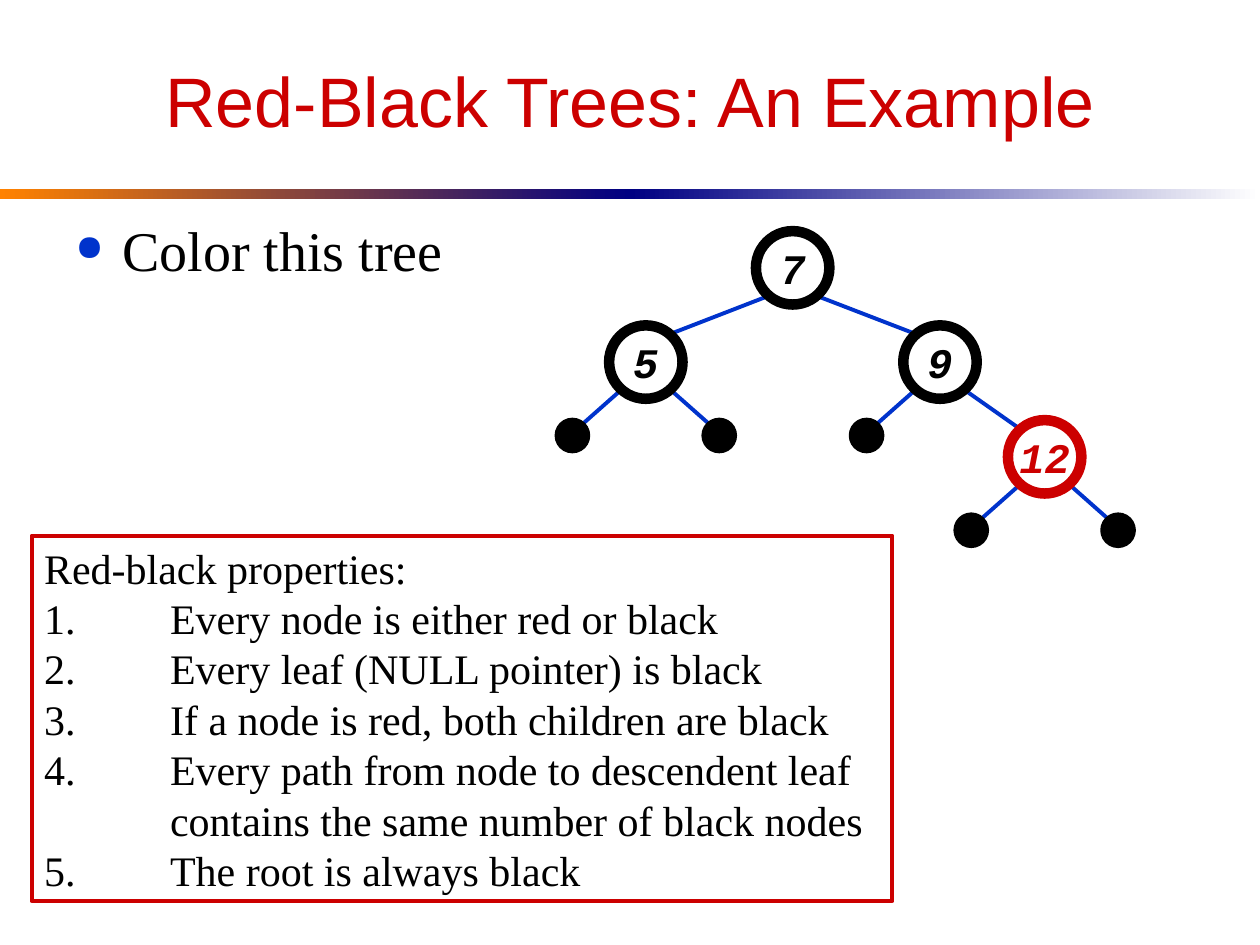
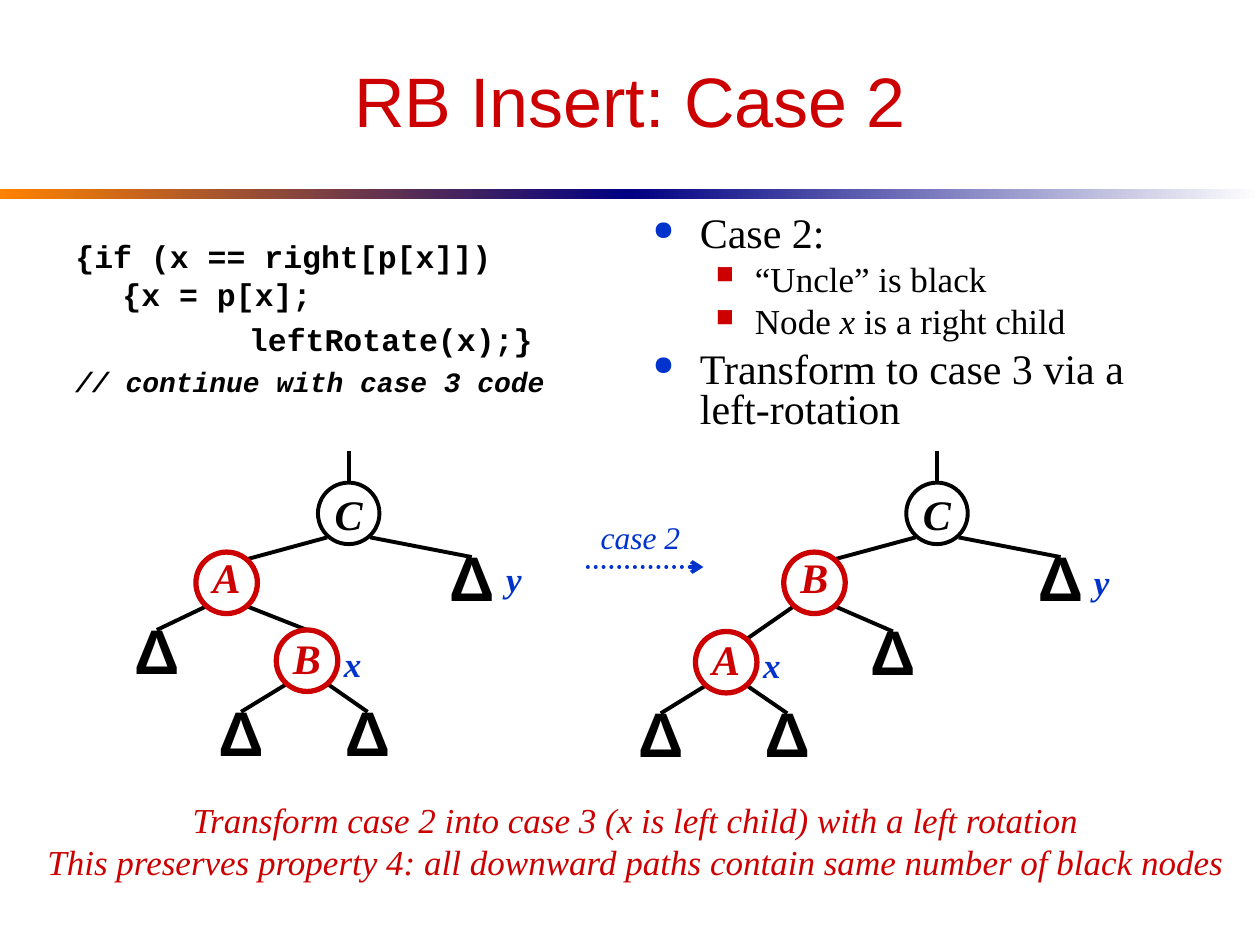
"""Build two slides on red-black trees: a colored example and insert case 2."""
import lxml.etree
import pptx
import pptx.dml.color
import pptx.enum.dml
import pptx.enum.shapes
import pptx.enum.text
import pptx.oxml.ns
import pptx.util

Cm, Pt = pptx.util.Cm, pptx.util.Pt
qn = pptx.oxml.ns.qn
RGB = pptx.dml.color.RGBColor.from_string
FORM = pptx.enum.shapes.MSO_SHAPE
MID = pptx.enum.text.MSO_ANCHOR.MIDDLE
TOP = pptx.enum.text.MSO_ANCHOR.TOP
ALIGN = pptx.enum.text.PP_ALIGN
INK = {"red": "CC0000", "blue": "0033CC", "black": "000000",
       "white": "FFFFFF", "orange": "FF8200", "navy": "000082"}
SERIF, SANS, MONO = "Times New Roman", "Arial", "Courier New"
REACH, DROP = 0.7, 0.78


def put(page, form, box, lines=(), font=None, ink="black", fill=None, edge=None,
        anchor=MID, wrap=False, **para):
    """Add a shape, or a text box if form is None; a line is text or a dict."""
    size = [Cm(n) for n in box]
    if form is None:
        shape = page.shapes.add_textbox(*size)
    else:
        shape = page.shapes.add_shape(form, *size)
        shape.shadow.inherit = False
        if fill:
            shape.fill.solid()
            shape.fill.fore_color.rgb = RGB(INK[fill])
        else:
            shape.fill.background()
        if edge:
            shape.line.color.rgb = RGB(INK[edge[0]])
            shape.line.width = Pt(edge[1])
        else:
            shape.line.fill.background()
    frame = shape.text_frame
    frame.word_wrap = wrap
    frame.vertical_anchor = anchor
    for num, line in enumerate(lines):
        line = line if isinstance(line, dict) else {"runs": [(line, {})]}
        part = frame.paragraphs[0] if num == 0 else frame.add_paragraph()
        props = part._p.get_or_add_pPr()
        if "left" in line:
            props.set("marL", str(Cm(line["left"])))
            props.set("indent", str(Cm(line["hang"])))
        if "dot" in line:
            mark, tint, share = line["dot"]
            color = lxml.etree.SubElement(props, qn("a:buClr"))
            lxml.etree.SubElement(color, qn("a:srgbClr"), val=INK[tint])
            lxml.etree.SubElement(props, qn("a:buSzPct"), val=str(share * 1000))
            lxml.etree.SubElement(props, qn("a:buChar"), char=mark)
        for key, value in {**para, **line.get("para", {})}.items():
            setattr(part, key, value)
        for text, more in line["runs"]:
            for row, words in enumerate(text.split("\n")):
                if row:
                    part.add_line_break()
                run = part.add_run()
                run.text = words
                run.font.color.rgb = RGB(INK[ink])
                for key, value in {**font, **line.get("font", {}), **more}.items():
                    setattr(run.font, key, value)
    return shape


def link(page, start, end, ink):
    """Add a plain straight line between two points."""
    line = page.shapes.add_connector(pptx.enum.shapes.MSO_CONNECTOR.STRAIGHT,
                                     *[Cm(n) for n in (*start, *end)])
    line.line.color.rgb = RGB(INK[ink])
    line.line.width = Pt(2.25)
    lxml.etree.SubElement(line._element.spPr, qn("a:effectLst"))
    return line


deck = pptx.Presentation()
deck.slide_width, deck.slide_height = Cm(25.4), Cm(19.05)
pages = []
for title in ("Red-Black Trees: An Example", "RB Insert: Case 2"):
    page = deck.slides.add_slide(deck.slide_layouts[6])
    pages.append(page)
    for num, tints in enumerate((("orange", "navy"), ("navy", "white"))):
        band = put(page, FORM.RECTANGLE, (12.7 * num, 3.81, 12.7, 0.21))
        band.fill.gradient()
        band.fill.gradient_angle = 0
        for stop, tint, place in zip(band.fill.gradient_stops, tints, (0, 1)):
            stop.color.rgb = RGB(INK[tint])
            stop.position = place
    put(page, None, (1.27, 0.64, 22.86, 2.75), [title],
        {"size": Pt(40), "name": SANS}, "red", wrap=True, alignment=ALIGN.CENTER)
tree, case = pages

disc = {"left": 0.95, "hang": -0.95, "dot": ("●", "blue", 64)}
put(tree, None, (1.27, 4.23, 10, 1.6), [{**disc, "runs": [("Color this tree", {})]}],
    {"size": Pt(32), "name": SERIF}, anchor=TOP, wrap=True)

nodes = {"7": (15.98, 5.4, None, "black"), "5": (13.02, 7.3, "7", "black"),
         "9": (18.95, 7.3, "7", "black"), "12": (21.06, 9.21, "9", "red")}
spots = [(x, y, 0.74, above, key, ink) for key, (x, y, above, ink) in nodes.items()]
for above, side in (("5", -1), ("5", 1), ("9", -1), ("12", -1), ("12", 1)):
    x, y = nodes[above][:2]
    spots.append((x + side * 1.48, y + 1.48, 0.32, above, None, "black"))
for x, y, r, above, key, ink in spots:
    if above:
        px, py = nodes[above][:2]
        side = 1 if x > px else -1
        link(tree, (px + side * 0.74 * REACH, py + 0.74 * DROP),
             (x - side * r * REACH, y - r * DROP), "blue")
for x, y, r, above, key, ink in spots:
    put(tree, FORM.OVAL, (x - r, y - r, 2 * r, 2 * r), [key] if key else [],
        {"size": Pt(24), "name": MONO, "bold": True, "italic": True}, ink,
        "white" if key else "black", (ink, 6 if key else 2.25),
        alignment=ALIGN.CENTER)

rules = ["Every node is either red or black", "Every leaf (NULL pointer) is black",
         "If a node is red, both children are black",
         "Every path from node to descendent leaf\ncontains the same number of black nodes",
         "The root is always black"]
put(tree, FORM.RECTANGLE, (0.64, 10.8, 17.35, 7.37),
    ["Red-black properties:"] + [
        {"left": 2.54, "hang": -2.54, "runs": [(f"{num}.\t{rule}", {})]}
        for num, rule in enumerate(rules, 1)],
    {"size": Pt(24), "name": SERIF}, edge=("red", 2.25), wrap=True,
    alignment=ALIGN.LEFT)

gap = {"space_before": Pt(4)}
put(case, None, (1.27, 4.66, 11.23, 4.65),
    [{"left": 0.95, "hang": -0.95, "runs": [("{if (x == right[p[x]])\n{x = p[x];", {})]},
     {"left": 3.5, "hang": 0, "para": gap, "runs": [("leftRotate(x);}", {})]},
     {"para": gap, "font": {"size": Pt(16), "italic": True},
      "runs": [("// continue with case 3 code", {})]}],
    {"size": Pt(18), "name": MONO, "bold": True}, anchor=TOP, wrap=True)

block = {"left": 2.06, "hang": -0.79, "dot": ("■", "red", 70),
         "para": {"space_before": Pt(5)}, "font": {"size": Pt(20)}}
put(case, None, (12.91, 4.24, 11.23, 4.87),
    [{**disc, "runs": [("Case 2:", {})]},
     {**block, "runs": [("“Uncle” is black", {})]},
     {**block, "runs": [("Node ", {}), ("x", {"italic": True}),
                        (" is a right child", {})]},
     {**disc, "para": {"space_before": Pt(6)},
      "runs": [("Transform to case 3 via a left-rotation", {})]}],
    {"size": Pt(24), "name": SERIF}, anchor=TOP, wrap=True, line_spacing=0.8)

R = 0.62
lean = {"name": SERIF, "italic": True}
bold = {**lean, "bold": True}
trees = [
    [("C", 7.03, 10.35, None, 1, None), ("A", 4.57, 11.75, 0, 0.7, None),
     ("Δ", 9.51, 11.85, 0, 0.6, ("y", 0.85, -0.19)), ("Δ", 3.16, 13.32, 1, 0.6, None),
     ("B", 6.19, 13.32, 1, 0.9, ("x", 0.92, 0.05)),
     ("Δ", 4.86, 14.97, 4, 0.6, None), ("Δ", 7.41, 14.97, 4, 0.6, None)],
    [("C", 18.89, 10.35, None, 1, None), ("B", 16.42, 11.75, 0, 0.7, None),
     ("Δ", 21.38, 11.85, 0, 0.6, ("y", 0.83, -0.13)), ("Δ", 18, 13.35, 1, 0.6, None),
     ("A", 14.64, 13.35, 1, 0.9, ("x", 0.92, 0.04)),
     ("Δ", 13.32, 15, 4, 0.6, None), ("Δ", 15.87, 15, 4, 0.6, None)]]
for group in trees:
    for key, x, y, above, space, tag in group:
        if above is None:
            link(case, (x, y - R), (x, y - R - 0.64), "black")
        else:
            px, py = group[above][1:3]
            side = 1 if x > px else -1
            end = (x, y - R)
            if key != "Δ" and side < 0:
                end = (x + R * REACH, y - R * DROP)
            link(case, (px + side * R * REACH, py + R * DROP), end, "black")
    for key, x, y, above, space, tag in group:
        leaf = key == "Δ"
        ink = "black" if leaf or key == "C" else "red"
        put(case, FORM.OVAL, (x - R, y - R, 2 * R, 2 * R), [key],
            {"size": Pt(36), "name": SANS, "bold": True} if leaf
            else {**bold, "size": Pt(24)}, ink, None if leaf else "white",
            None if leaf else (ink, 3 if ink == "red" else 2.25),
            alignment=ALIGN.CENTER, line_spacing=float(space))
        if tag:
            text, dx, dy = tag
            put(case, None, (x + dx - 0.43, y + dy - 0.56, 0.86, 1.12), [text],
                {**bold, "size": Pt(20)}, "blue", alignment=ALIGN.CENTER)

arrow = link(case, (11.85, 11.43), (14.18, 11.43), "blue")
arrow.line.dash_style = pptx.enum.dml.MSO_LINE.ROUND_DOT
edge = arrow.line._get_or_add_ln()
edge.set("cap", "rnd")
lxml.etree.SubElement(edge, qn("a:tailEnd"), type="arrow")
put(case, None, (11.85, 10.31, 2.12, 1.02), ["case 2"],
    {**lean, "size": Pt(18)}, "blue", alignment=ALIGN.CENTER)
put(case, None, (0.66, 15.97, 24.31, 1.96),
    ["Transform case 2 into case 3 (x is left child) with a left rotation",
     "This preserves property 4: all downward paths contain same number of black nodes"],
    {**lean, "size": Pt(20)}, "red", alignment=ALIGN.CENTER)

deck.save("out.pptx")
